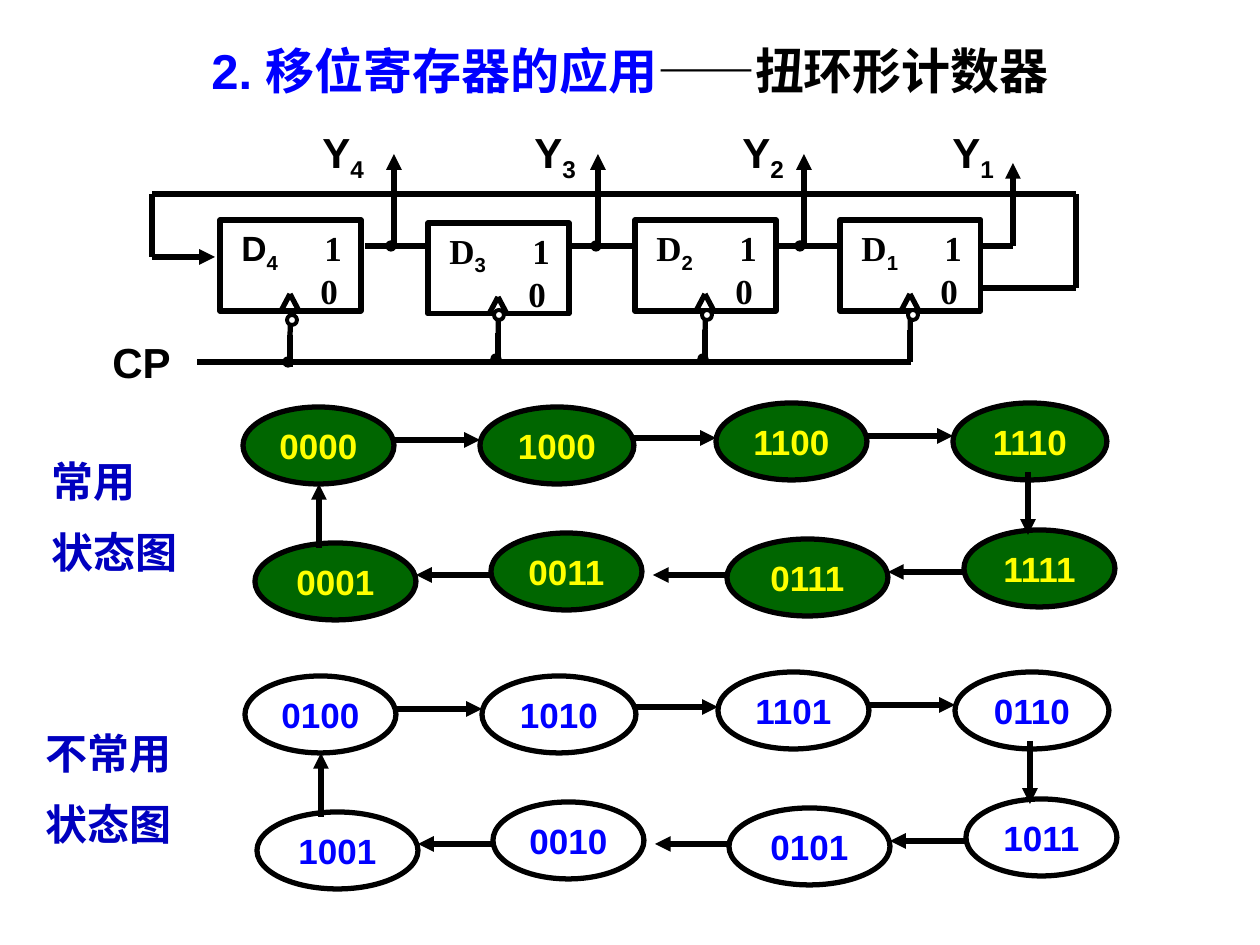
import pptx
import pptx.dml.color
import pptx.enum.shapes
import pptx.enum.text
import pptx.oxml.ns
import pptx.util
from lxml import etree

PX = 914400 / 126
BLACK = pptx.dml.color.RGBColor(0x00, 0x00, 0x00)
WHITE = pptx.dml.color.RGBColor(0xFF, 0xFF, 0xFF)
BLUE = pptx.dml.color.RGBColor(0x00, 0x00, 0xFF)
NAVY = pptx.dml.color.RGBColor(0x00, 0x00, 0xBF)
GREEN = pptx.dml.color.RGBColor(0x00, 0x66, 0x00)
YELLOW = pptx.dml.color.RGBColor(0xFF, 0xFF, 0x00)
SANS, SERIF = "Arial", "Times New Roman"
OVAL = pptx.enum.shapes.MSO_SHAPE.OVAL
RECTANGLE = pptx.enum.shapes.MSO_SHAPE.RECTANGLE
CENTER = pptx.enum.text.PP_ALIGN.CENTER
ANCHOR = pptx.enum.text.MSO_ANCHOR

# Ovals as left, top, width, in the order in which the counter runs
STATE_OVALS = [(243, 407, 151), (480, 407, 154), (716, 403, 151), (953, 403, 154),
               (964, 530, 151), (727, 539, 161), (491, 533, 151), (255, 543, 161)]
STATE_ARROWS = [(394, 440, 480, 440), (634, 438, 716, 438), (867, 436, 953, 436),
                (1028, 472, 1028, 535), (964, 572, 888, 572), (726, 575, 653, 575),
                (491, 575, 416, 575), (319, 548, 319, 484)]
USED = ["0000", "1000", "1100", "1110", "1111", "0111", "0011", "0001"]
UNUSED = ["0100", "1010", "1101", "0110", "1011", "0101", "0010", "1001"]

# Flip-flops: index, left, top, font of D, clock stub top, bubble, label left
FLIP_FLOPS = [("4", 220, 220, SANS, 335, (287, 315), 310),
              ("3", 428, 223, SERIF, 333, (494, 310), 522),
              ("2", 635, 220, SERIF, 330, (702, 310), 730),
              ("1", 840, 220, SERIF, 330, (908, 310), 940)]
BLOCK_W, BLOCK_H = 141, 91

# Wires of the circuit, with and without an arrowhead
OUTPUT_ARROWS = [(394, 246, 394, 154), (598, 246, 598, 154), (804, 246, 804, 154),
                 (1013, 246, 1013, 163), (152, 257, 215, 257)]
WIRES = [(365, 246, 428, 246), (570, 246, 633, 246), (775, 246, 838, 246),
         (982, 246, 1013, 246), (911, 362, 197, 362),
         (1076, 194, 152, 194), (152, 194, 152, 257),
         (982, 288, 1076, 288), (1076, 288, 1076, 194)]
JUNCTIONS = [(386, 241), (591, 241), (795, 241), (283, 357), (491, 354), (698, 354)]


def px(*lengths):
    return [pptx.util.Emu(round(length * PX)) for length in lengths]


def add_run(paragraph, text, size, font, color, subscript=False):
    run = paragraph.add_run()
    run.text = text
    style = {"size": pptx.util.Pt(size), "name": font, "bold": True}
    for key, value in style.items():
        setattr(run.font, key, value)
    run.font.color.rgb = color
    if subscript:
        run.font._element.set("baseline", "-25000")


def add_label(slide, box, lines, size, font, color=BLACK, index=""):
    frame = slide.shapes.add_textbox(*px(*box)).text_frame
    frame.word_wrap = True
    for number, line in enumerate(lines):
        paragraph = frame.add_paragraph() if number else frame.paragraphs[0]
        if number:
            paragraph.space_before = pptx.util.Pt(size / 2)
        add_run(paragraph, line, size, font, color)
    if index:
        add_run(paragraph, index, size, SANS, color, subscript=True)


def add_outline(slide, kind, box, fill, weight=3):
    outline = slide.shapes.add_shape(kind, *px(*box))
    outline.shadow.inherit = False
    if fill is None:
        outline.fill.background()
    else:
        outline.fill.solid()
        outline.fill.fore_color.rgb = fill
    outline.line.color.rgb = BLACK
    outline.line.width = pptx.util.Pt(weight)
    return outline


def add_wire(slide, ends, arrow=False):
    wire = slide.shapes.add_connector(
        pptx.enum.shapes.MSO_CONNECTOR.STRAIGHT, *px(*ends))
    wire.line.color.rgb = BLACK
    wire.line.width = pptx.util.Pt(3)
    qn = pptx.oxml.ns.qn
    if arrow:
        etree.SubElement(wire.line._get_or_add_ln(), qn("a:tailEnd"), type="triangle")
    etree.SubElement(wire._element.spPr, qn("a:effectLst"))
    return wire


def add_state(slide, box, code, fill, color):
    frame = add_outline(slide, OVAL, box, fill).text_frame
    layout = {"word_wrap": False, "vertical_anchor": ANCHOR.MIDDLE,
              "margin_left": 0, "margin_right": 0}
    for key, value in layout.items():
        setattr(frame, key, value)
    frame.paragraphs[0].alignment = CENTER
    add_run(frame.paragraphs[0], code, 20, SANS, color)


def add_state_diagram(slide, codes, dx, dy, fill, color):
    for (left, top, width), code in zip(STATE_OVALS, codes):
        add_state(slide, (left + dx, top + dy, width, 77), code, fill, color)
    for x1, y1, x2, y2 in STATE_ARROWS:
        add_wire(slide, (x1 + dx, y1 + dy, x2 + dx, y2 + dy), arrow=True)


def add_flip_flop(slide, index, left, top, font, stub_top, label_left):
    middle, bottom = left + BLOCK_W // 2, top + BLOCK_H
    block = add_outline(slide, RECTANGLE, (left, top, BLOCK_W, BLOCK_H), None)
    add_label(slide, (left + 9, top, 72, 54), ["D"], 20, font, index=index)
    add_label(slide, (left + 92, top, 46, 54), ["1"], 20, SERIF)
    add_label(slide, (left + 88, top + 43, 53, 54), ["0"], 20, SERIF)
    add_label(slide, (label_left, 120, 82, 63), ["Y"], 24, SANS, index=index)
    # Clock input: edge mark, lead and stub down to the CP line
    for side in (-9, 9):
        add_wire(slide, (middle, top + 74, middle + side, bottom))
    lead = add_wire(slide, (middle, bottom + 28, middle, bottom))
    lead.end_connect(block, 2)
    add_wire(slide, (middle, stub_top, middle, stub_top + 32))


def add_circuit(slide):
    add_label(slide, (100, 330, 95, 63), ["CP"], 24, SANS)
    for index, left, top, font, stub_top, _, label_left in FLIP_FLOPS:
        add_flip_flop(slide, index, left, top, font, stub_top, label_left)
    for ends in WIRES:
        add_wire(slide, ends)
    for ends in OUTPUT_ARROWS:
        add_wire(slide, ends, arrow=True)
    for spot in JUNCTIONS:
        add_outline(slide, OVAL, (*spot, 10, 10), BLACK, 0.75)
    for *_, bubble, _ in FLIP_FLOPS:
        add_outline(slide, OVAL, (*bubble, 10, 10), WHITE, 2.25)


def set_title(slide):
    title = slide.shapes.title
    for key, value in zip(("left", "top", "width", "height"), px(0, 34, 1260, 72)):
        setattr(title, key, value)
    frame = title.text_frame
    layout = {"word_wrap": True, "vertical_anchor": ANCHOR.TOP,
              "auto_size": pptx.enum.text.MSO_AUTO_SIZE.NONE}
    for key, value in layout.items():
        setattr(frame, key, value)
    heading = frame.paragraphs[0]
    heading.alignment = CENTER
    add_run(heading, "2. 移位寄存器的应用", 28, SANS, BLUE)
    add_run(heading, "——扭环形计数器", 28, SANS, BLACK)


def main():
    deck = pptx.Presentation()
    deck.slide_width, deck.slide_height = px(1260, 945)
    slide = deck.slides.add_slide(deck.slide_layouts[5])
    set_title(slide)

    # State diagrams: the used cycle above, the unused one below
    add_state_diagram(slide, USED, 0, 0, GREEN, YELLOW)
    add_state_diagram(slide, UNUSED, 2, 269, WHITE, BLUE)
    add_label(slide, (33, 721, 160, 140), ["不常用", "状态图"], 24, SERIF, NAVY)
    add_label(slide, (39, 449, 198, 140), ["常用", "状态图"], 24, SERIF, NAVY)

    # Shift register with feedback
    add_circuit(slide)
    deck.save("out.pptx")


if __name__ == "__main__":
    main()
